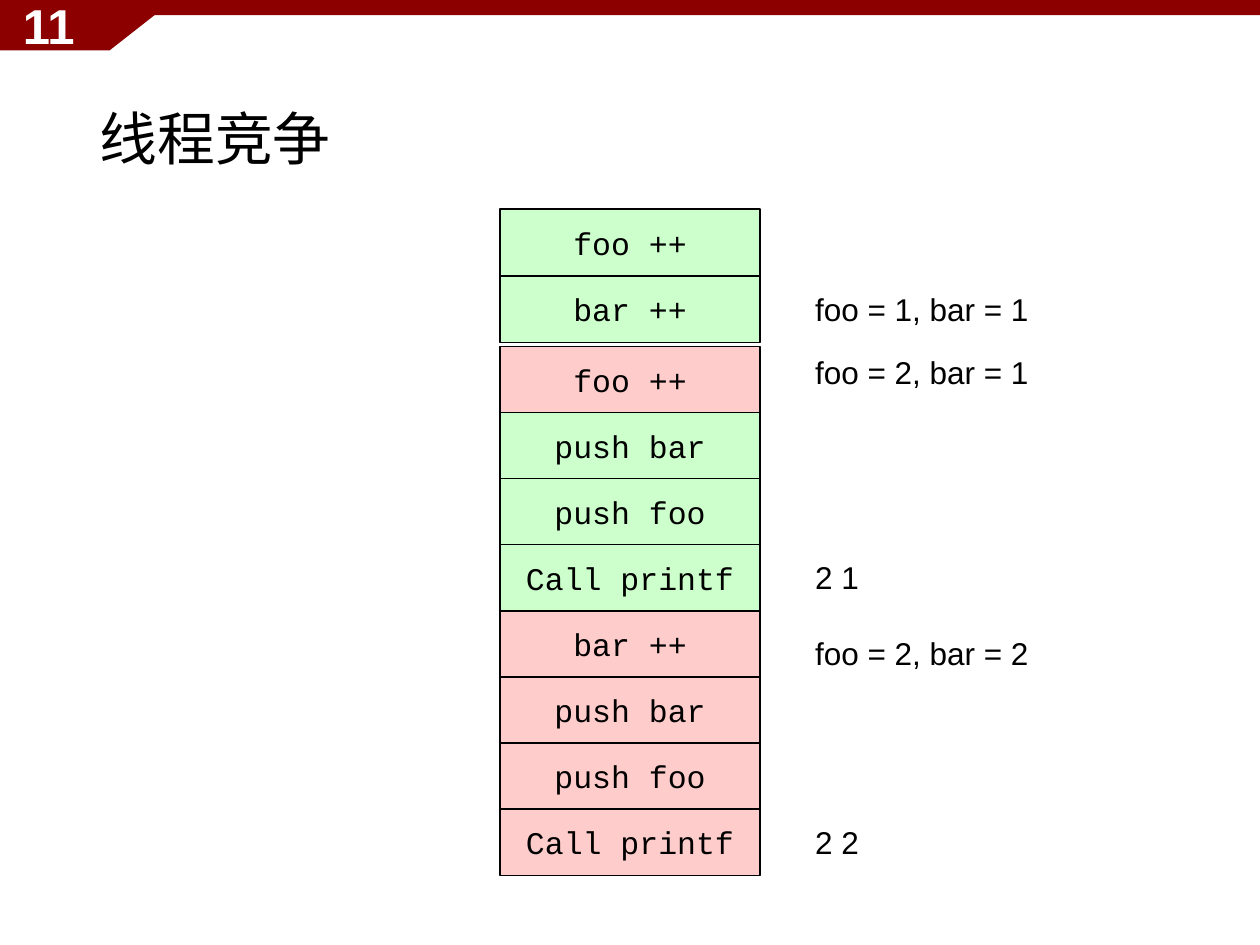
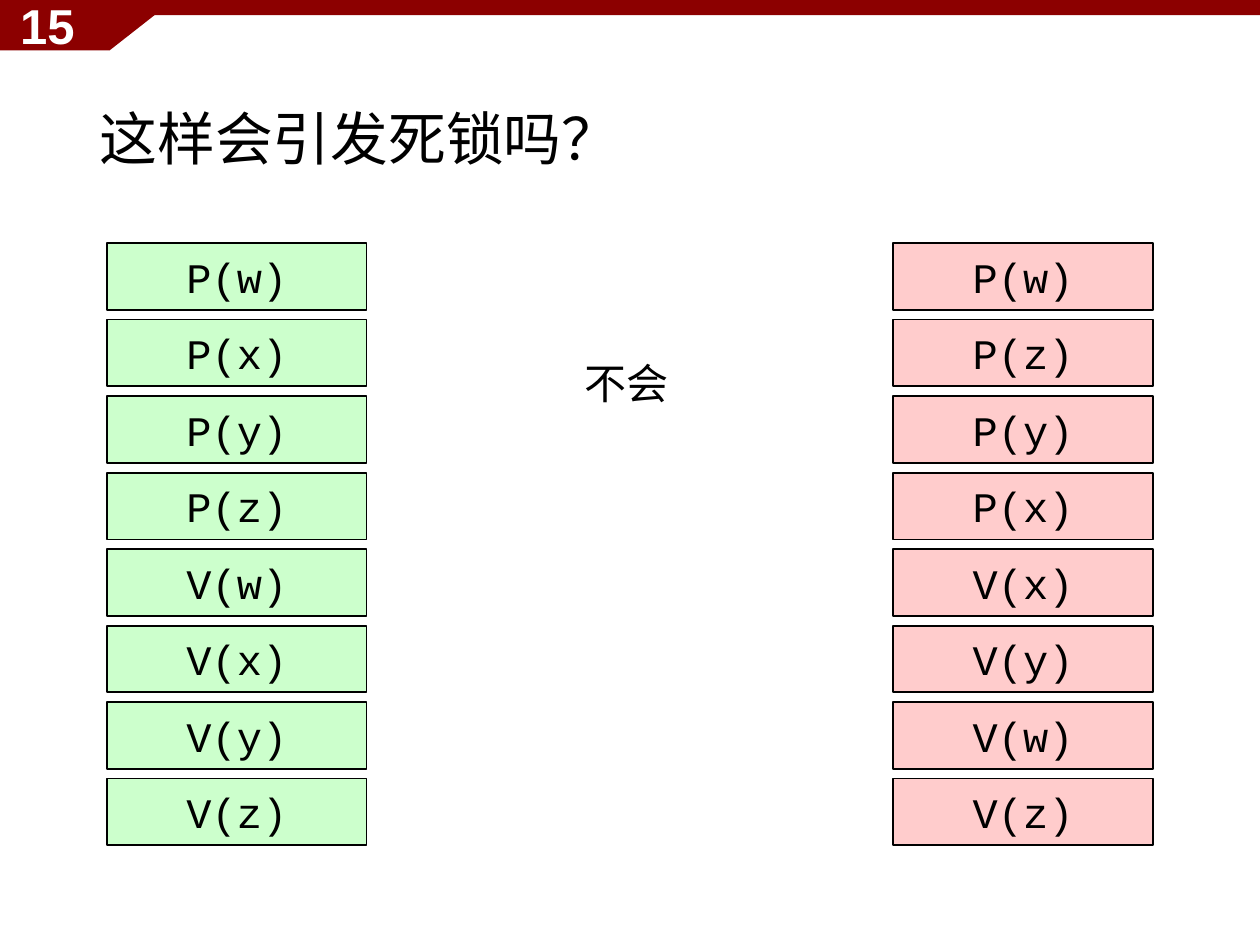
from dataclasses import dataclass

from pptx import Presentation
from pptx.dml.color import RGBColor
from pptx.enum.shapes import MSO_SHAPE
from pptx.enum.text import MSO_ANCHOR, MSO_AUTO_SIZE, PP_ALIGN
from pptx.util import Inches, Pt


@dataclass(frozen=True)
class Theme:
    band: RGBColor = RGBColor(0x8C, 0x00, 0x00)
    thread_a: RGBColor = RGBColor(0xCC, 0xFF, 0xCC)
    thread_b: RGBColor = RGBColor(0xFF, 0xCC, 0xCC)
    black: RGBColor = RGBColor(0x00, 0x00, 0x00)
    white: RGBColor = RGBColor(0xFF, 0xFF, 0xFF)
    title_font: str = "Times New Roman"
    text_font: str = "Arial"
    code_font: str = "Courier New"
    title_size: int = 33
    number_size: int = 28
    large_size: int = 24
    normal_size: int = 18
    box_width: float = 2.06
    box_height: float = 0.53


THEME = Theme()


def format_text(tf, font, size, color=THEME.black, align=PP_ALIGN.LEFT, bold=False):
    for p in tf.paragraphs:
        p.alignment = align
        for r in p.runs:
            r.font.name = font
            r.font.size = Pt(size)
            r.font.bold = bold
            r.font.color.rgb = color


def paint_band(sp):
    sp.shadow.inherit = False
    sp.fill.solid()
    sp.fill.fore_color.rgb = THEME.band
    sp.line.fill.background()


def set_up_layout(layout, slide):
    """Place the title and the red header on the layout; slide only lends its shape builders."""
    title = layout.placeholders[0]
    title.left, title.top = Inches(0.69), Inches(0.4)
    title.width, title.height = Inches(8.62), Inches(1.45)
    title.text_frame.vertical_anchor = MSO_ANCHOR.MIDDLE
    title.text_frame.auto_size = MSO_AUTO_SIZE.NONE

    # Freeform points are whole numbers, here hundredths of an inch.
    builder = slide.shapes.build_freeform(0, 0, scale=Inches(0.01))
    builder.add_line_segments([(-1, 40), (87, 40), (138, 0)], close=True)
    tab = builder.convert_to_shape()
    bar = slide.shapes.add_shape(MSO_SHAPE.RECTANGLE, Inches(-0.01), 0,
                                 Inches(10.01), Inches(0.12))
    for sp in (tab, bar):
        paint_band(sp)
        layout.shapes.element.append(sp.element)


def add_text(slide, text, left, top, width, height, size=THEME.normal_size):
    sp = slide.shapes.add_textbox(Inches(left), Inches(top), Inches(width), Inches(height))
    tf = sp.text_frame
    tf.word_wrap = True
    tf.auto_size = MSO_AUTO_SIZE.SHAPE_TO_FIT_TEXT
    tf.text = text
    format_text(tf, THEME.text_font, size)
    return tf


def add_heading(slide, title, number):
    tf = slide.shapes.title.text_frame
    tf.text = title
    tf.paragraphs[0].line_spacing = 0.9
    format_text(tf, THEME.title_font, THEME.title_size)

    tf = add_text(slide, str(number), -0.02, 0, 0.71, 0.4)
    tf.auto_size = MSO_AUTO_SIZE.NONE
    tf.vertical_anchor = MSO_ANCHOR.MIDDLE
    format_text(tf, THEME.text_font, THEME.number_size, THEME.white, PP_ALIGN.RIGHT, True)


def add_step(slide, code, left, top, color, size):
    sp = slide.shapes.add_shape(MSO_SHAPE.RECTANGLE, Inches(left), Inches(top),
                                Inches(THEME.box_width), Inches(THEME.box_height))
    sp.shadow.inherit = False
    sp.fill.solid()
    sp.fill.fore_color.rgb = color
    sp.line.color.rgb = THEME.black
    sp.line.width = Pt(1)
    tf = sp.text_frame
    tf.vertical_anchor = MSO_ANCHOR.MIDDLE
    tf.text = code
    format_text(tf, THEME.code_font, size, align=PP_ALIGN.CENTER)


def add_steps(slide, steps, left, first_top, last_top, size):
    """Stack (code, colour) steps evenly between the tops of the first and last box."""
    pitch = (last_top - first_top) / (len(steps) - 1)
    for i, (code, color) in enumerate(steps):
        add_step(slide, code, left, first_top + i * pitch, color, size)


def add_race_slide(slide):
    a, b = THEME.thread_a, THEME.thread_b
    add_heading(slide, "线程竞争", 11)
    print_calls = ["push bar", "push foo", "Call printf"]
    start = [("foo ++", a), ("bar ++", a)]
    rest = [("foo ++", b), *((code, a) for code in print_calls),
            ("bar ++", b), *((code, b) for code in print_calls)]
    add_steps(slide, start, 3.97, 1.66, 2.19, THEME.normal_size)
    add_steps(slide, rest, 3.97, 2.75, 6.42, THEME.normal_size)

    states = [("foo = 1, bar = 1", 2.25), ("foo = 2, bar = 1", 2.75), ("2 1", 4.38),
              ("foo = 2, bar = 2", 4.98), ("2 2", 6.48)]
    for state, top in states:
        add_text(slide, state, 6.37, top, 2.68, 0.4)


def add_deadlock_slide(slide):
    add_heading(slide, "这样会引发死锁吗？", 15)
    threads = [
        (0.85, THEME.thread_a, "P(w) P(x) P(y) P(z) V(w) V(x) V(y) V(z)"),
        (7.09, THEME.thread_b, "P(w) P(z) P(y) P(x) V(x) V(y) V(w) V(z)"),
    ]
    for left, color, codes in threads:
        steps = [(code, color) for code in codes.split()]
        add_steps(slide, steps, left, 1.93, 6.18, THEME.large_size)
    add_text(slide, "不会", 4.54, 2.79, 0.93, 0.5, THEME.large_size)


def main():
    prs = Presentation()
    prs.slide_width, prs.slide_height = Inches(10), Inches(7.5)
    layout = prs.slide_layouts.get_by_name("Title Only")
    race = prs.slides.add_slide(layout)
    deadlock = prs.slides.add_slide(layout)
    set_up_layout(layout, race)
    add_race_slide(race)
    add_deadlock_slide(deadlock)
    prs.save("out.pptx")


if __name__ == "__main__":
    main()
